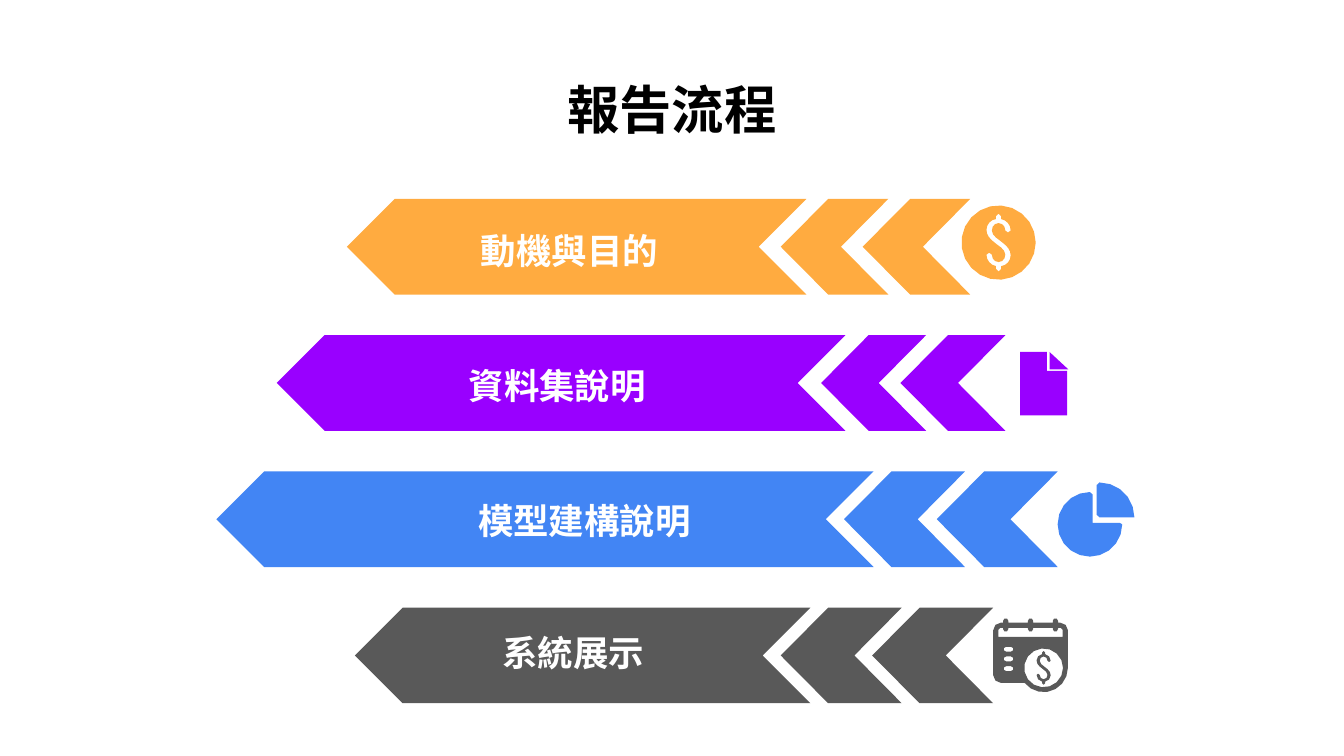
from dataclasses import dataclass
from math import cos, dist, radians, sin, sqrt

from pptx import Presentation
from pptx.dml.color import RGBColor
from pptx.enum import shapes as kinds, text as txt
from pptx.util import Pt

Point = tuple[float, float]
Path = list[Point]


@dataclass
class Row:
    label: str
    hue: str
    left: float
    width: float
    next: float
    small: float
    step: float
    text: tuple[float, float, float]
    block: bool = False


ROWS = [
    Row("動機與目的", "FFAB40", 185.8, 246.2, 418.3, 57.6, 43.9, (250.6, 110.9, 141.8)),
    Row("資料集說明", "9900FF", 148.3, 304.6, 439.9, 56.2, 42.5, (244.1, 182.9, 167.8), True),
    Row("模型建構說明", "4285F4", 115.9, 352.1, 452.2, 64.8, 49.7, (249.1, 255.6, 167.8)),
    Row("系統展示", "595959", 190.1, 244.1, 418.3, 64.8, 49, (262.1, 326.2, 115.2)),
]
TOP, PITCH, HIGH = 106.6, 73, 51.2

HALF = [
    [(0, -21.5), (1, -21.5), (2, -20.5), (2, -19.5)],
    [(2, -17.5), (6, -16.5), (9, -13.5), (9, -9)],
    [(9, -9), (9, -8), (8, -7.5), (7, -7.5)],
    [(7, -7.5), (6, -7.5), (5, -8), (5, -9)],
    [(5, -9), (5, -12), (3, -14.5), (0, -14.5)],
    [(0, -14.5), (-3, -14.5), (-5, -12), (-5, -9)],
    [(-5, -9), (-5, -6), (-2, -3.5), (1, -1.5)],
    [(1, -1.5), (5, 1.5), (9, 4.5), (9, 9.5)],
    [(9, 9.5), (9, 13.5), (6, 17), (2, 17.5)],
    [(2, 19.5), (2, 20.5), (1, 21.5), (0, 21.5)],
]


def color(hue: str) -> RGBColor:
    return RGBColor.from_string(hue)


def paint(shape, hue: str) -> None:
    shape.shadow.inherit = False
    shape.fill.solid()
    shape.fill.fore_color.rgb = color(hue)
    shape.line.fill.background()


def write(shape, words: str, align, face: dict, hue: str) -> None:
    frame = shape.text_frame
    frame.text = words
    form = dict(word_wrap=True, auto_size=txt.MSO_AUTO_SIZE.NONE,
                vertical_anchor=txt.MSO_ANCHOR.MIDDLE)
    form |= {f"margin_{side}": Pt(7.2) for side in ("left", "right", "top", "bottom")}
    for key, value in form.items():
        setattr(frame, key, value)
    para = frame.paragraphs[0]
    para.alignment = align
    font = para.runs[0].font
    for key, value in face.items():
        setattr(font, key, value)
    font.color.rgb = color(hue)


def chevron(slide, left: float, top: float, width: float, bend: float, hue: str) -> None:
    shape = slide.shapes.add_shape(
        kinds.MSO_SHAPE.CHEVRON, Pt(left), Pt(top), Pt(width), Pt(HIGH))
    shape.adjustments[0] = bend
    shape._element.spPr.xfrm.set("flipH", "1")
    paint(shape, hue)


def label(slide, row: Row) -> None:
    left, top, width = row.text
    area = Pt(left), Pt(top), Pt(width), Pt(46.8)
    if row.block:
        box = slide.shapes.add_shape(kinds.MSO_SHAPE.RECTANGLE, *area)
        paint(box, row.hue)
    else:
        box = slide.shapes.add_textbox(*area)
    face = dict(size=Pt(19), name="Roboto Condensed", bold=True)
    write(box, row.label, txt.PP_ALIGN.LEFT, face, "FFFFFF")


def arc(x: float, y: float, size: float, start: float, end: float) -> Path:
    count = max(2, round(abs(end - start) * sqrt(size) / 75))
    turns = [radians(start + (end - start) * i / count) for i in range(count + 1)]
    return [(x + size * cos(t), y + size * sin(t)) for t in turns]


def curve(knots: Path, scale: float) -> Path:
    count = max(1, round(dist(knots[0], knots[3]) * scale / 2))
    path = []
    for i in range(count + 1):
        t = i / count
        parts = (1 - t) ** 3, 3 * t * (1 - t) ** 2, 3 * t * t * (1 - t), t ** 3
        path.append((sum(p * k[0] for p, k in zip(parts, knots)),
                     sum(p * k[1] for p, k in zip(parts, knots))))
    return path


def dollar(x: float, y: float, scale: float) -> Path:
    half = list(dict.fromkeys(p for knots in HALF for p in curve(knots, scale)))
    whole = half + [(-a, -b) for a, b in half[1:]]
    return [(x + a * scale, y + b * scale) for a, b in whole]


def outline(slide, paths: list[Path], hue: str, left: float = 0, top: float = 0) -> None:
    loops = [[(Pt(left + x), Pt(top + y)) for x, y in path] for path in paths]
    build = slide.shapes.build_freeform(*loops[0][0])
    for i, loop in enumerate(loops):
        if i:
            build.move_to(*loop[0])
        build.add_line_segments(loop[1:], close=True)
    paint(build.convert_to_shape(), hue)


def coin(slide, hue: str) -> None:
    outline(slide, [arc(535, 130, 19.9, 0, 360), dollar(535, 130, 0.72)], hue)


def page(slide, hue: str) -> None:
    sheet = [(546.5, 188.6), (560.9, 188.6), (560.9, 198.7),
             (571.7, 198.7), (571.7, 222.5), (546.5, 222.5)]
    fold = [(562.3, 188.6), (572.4, 198), (562.3, 198)]
    outline(slide, [sheet, fold], hue)


def pie(slide, hue: str) -> None:
    body = arc(583.9, 280.9, 17.3, -90, -360) + [(599.8, 280.1), (585.4, 280.1), (585.4, 265)]
    wedge = arc(589, 277.2, 18.7, -90, 0)[1:] + [
        (604.8, 277.2), (589, 277.2), (587.5, 275.8), (587.5, 259.9), (589, 258.5)]
    outline(slide, [body], hue)
    outline(slide, [wedge], hue)


def diary(slide, hue: str) -> None:
    left, top, tab = 532.1, 331.2, 1.4
    edge = arc(4, 6.4, 4, 180, 270)
    band = [(2.8, 10), (2.8, 6.2), (3.8, 5.2)]
    for x in (6.7, 20, 33.3):
        edge += [(x - tab, 2.4), *arc(x, tab, tab, 180, 360), (x + tab, 2.4)]
        band += [(x - tab, 5.2), *arc(x, 5.8, tab, 180, 0), (x + tab, 5.2)]
    edge += arc(36, 6.4, 4, 270, 360) + arc(27, 26.6, 13, 0, 142) + arc(4, 30.6, 4, 90, 180)
    band += [(36.2, 5.2), (37.2, 6.2), (37.2, 10)]
    dots = [arc(6.9, y, 1.3, 90, 270) + arc(9.5, y, 1.3, -90, 90) for y in (16.6, 21.8, 27)]
    outline(slide, [edge, band, *dots, arc(27, 26.6, 10.4, 0, 360)], hue, left, top)
    outline(slide, [dollar(27, 26.6, 0.42)], hue, left, top)


def main() -> None:
    deck = Presentation()
    deck.slide_width, deck.slide_height = Pt(720), Pt(405)
    slide = deck.slides.add_slide(deck.slide_layouts[5])
    title = slide.shapes.title
    place = dict(left=24.5, top=35.3, width=671, height=45.4)
    for key, value in place.items():
        setattr(title, key, Pt(value))
    face = dict(size=Pt(28), name="Arial", bold=True)
    write(title, "報告流程", txt.PP_ALIGN.CENTER, face, "000000")
    for i, (row, icon) in enumerate(zip(ROWS, (coin, page, pie, diary))):
        top = TOP + i * PITCH
        chevron(slide, row.left, top, row.width, 0.5, row.hue)
        for j in range(2):
            chevron(slide, row.next + j * row.step, top, row.small, 0.496, row.hue)
        label(slide, row)
        icon(slide, row.hue)
    deck.save("out.pptx")


if __name__ == "__main__":
    main()
